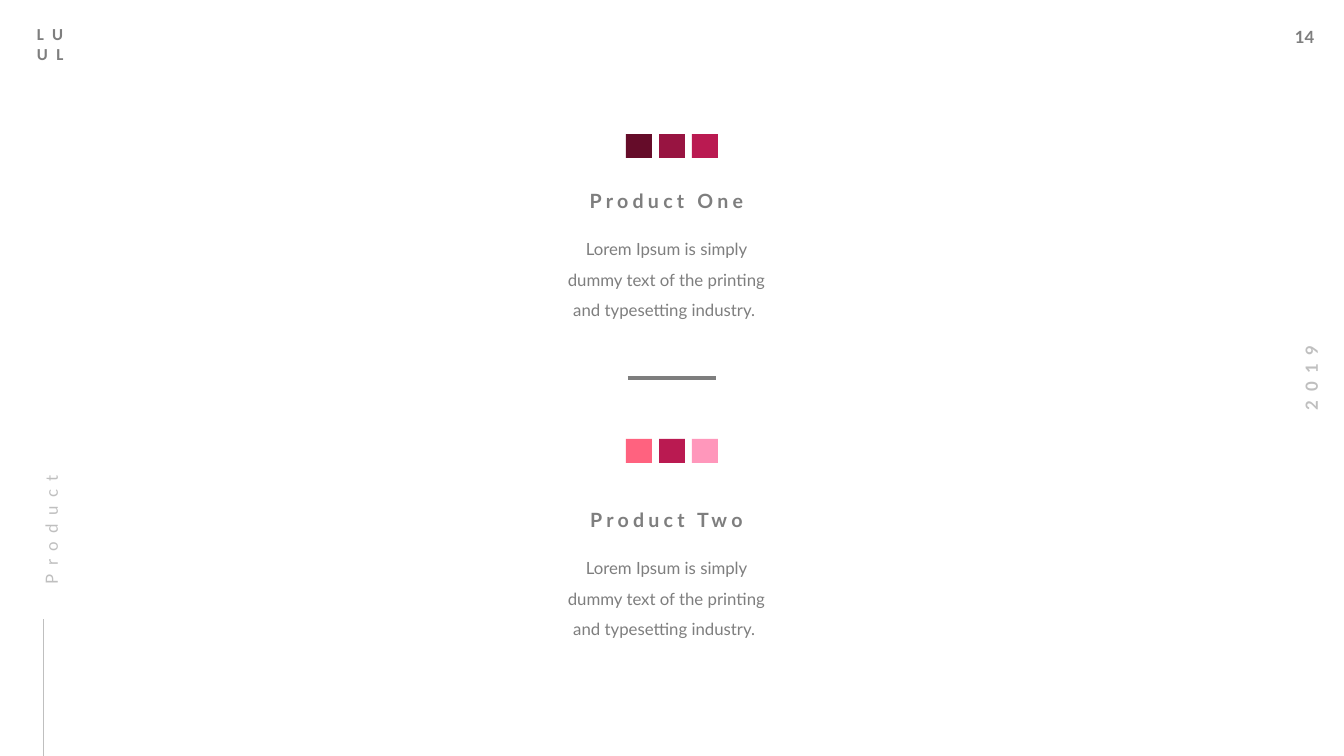
from lxml.etree import SubElement
from pptx import Presentation
from pptx.dml.color import RGBColor
from pptx.enum.shapes import MSO_CONNECTOR as Connector, MSO_SHAPE as Shape
from pptx.enum.text import MSO_AUTO_SIZE as AutoSize, PP_ALIGN as Align
from pptx.oxml.ns import qn
from pptx.util import Emu, Pt

# Content
GREY, PALE = "7E7E7E", "BFBFBF"
BLURB = "Lorem Ipsum is simply dummy text of the printing and typesetting industry. "
PRODUCTS = [
    # name, swatch colours, tops of swatches, name and blurb
    ("Product One", ["650C29", "981441", "BA1A51"], (134, 189, 229)),
    ("Product Two", ["FF627F", "BA1A51", "FF97BB"], (439, 508, 548)),
]
MONOGRAM = ["LU", "UL"]
PAGE_NUMBER, YEAR, SECTION = "14", "2019", "Product"

# Layout in px
SCALE = 914400 / 100.8
WIDTH, HEIGHT = 1344, 756
SWATCH_LEFT, SWATCH_STEP, SWATCH_SIZE = 626, 33, (26, 24)
DEFAULT_INSETS, TIGHT_INSETS = (10, 5, 10, 5), (0, 0, 10, 0)


def px(length):
    return Emu(round(length * SCALE))


def color(value):
    return RGBColor.from_string(value)


def add_text(lines, left, top, width, height, *, size=12, font="Lato", fill=GREY,
             bold=False, spacing=0, align=Align.LEFT, line_spacing=None,
             insets=DEFAULT_INSETS, wrap=True, rotation=0):
    box = slide.shapes.add_textbox(px(left), px(top), px(width), px(height))
    box.rotation = rotation
    frame = box.text_frame
    frame.word_wrap = wrap
    frame.auto_size = AutoSize.SHAPE_TO_FIT_TEXT
    (frame.margin_left, frame.margin_top,
     frame.margin_right, frame.margin_bottom) = map(px, insets)
    for index, line in enumerate(lines):
        para = frame.add_paragraph() if index else frame.paragraphs[0]
        para.alignment = align
        para.line_spacing = line_spacing
        span = para.add_run()
        span.text = line
        span.font.name = font
        span.font.size = Pt(size)
        span.font.bold = bold
        span.font.color.rgb = color(fill)
        if spacing:
            span.font._element.set("spc", str(spacing * 100))


def add_line(x1, y1, x2, y2, fill, weight):
    line = slide.shapes.add_connector(Connector.STRAIGHT, px(x1), px(y1), px(x2), px(y2))
    line.line.color.rgb = color(fill)
    line.line.width = Pt(weight)
    SubElement(line._element.spPr, qn("a:effectLst"))


def add_swatch(left, top, fill):
    swatch = slide.shapes.add_shape(Shape.RECTANGLE, px(left), px(top), *map(px, SWATCH_SIZE))
    swatch.shadow.inherit = False
    swatch.fill.solid()
    swatch.fill.fore_color.rgb = color(fill)
    swatch.line.fill.background()


deck = Presentation()
deck.slide_width, deck.slide_height = px(WIDTH), px(HEIGHT)
slide = deck.slides.add_slide(deck.slide_layouts[6])

# Page furniture
add_text([PAGE_NUMBER], 1285, 22, 41, 30, bold=True, wrap=False)
add_text([YEAR], 1264, 363, 94, 30, bold=True, fill=PALE, spacing=6,
         align=Align.CENTER, wrap=False, rotation=270)
add_text(MONOGRAM, 27, 19, 60, 50, font="Calibri", bold=True, spacing=6)

# Section marker
add_text([SECTION], -49, 478, 186, 26, fill=PALE, spacing=6, line_spacing=1.5,
         insets=TIGHT_INSETS, rotation=270)
add_line(43, HEIGHT, 43, 619, PALE, 0.5)

# Products
for name, swatches, (swatch_top, name_top, blurb_top) in PRODUCTS:
    for index, fill in enumerate(swatches):
        add_swatch(SWATCH_LEFT + index * SWATCH_STEP, swatch_top, fill)
    add_text([name], 553, name_top, 237, 24, size=14, bold=True, spacing=3,
             align=Align.CENTER, insets=TIGHT_INSETS)
    add_text([BLURB], 562, blurb_top, 219, 88, align=Align.CENTER,
             line_spacing=1.5, insets=TIGHT_INSETS)

# Divider between the products
add_line(628, 378, 716, 378, GREY, 2.25)

deck.save("out.pptx")
